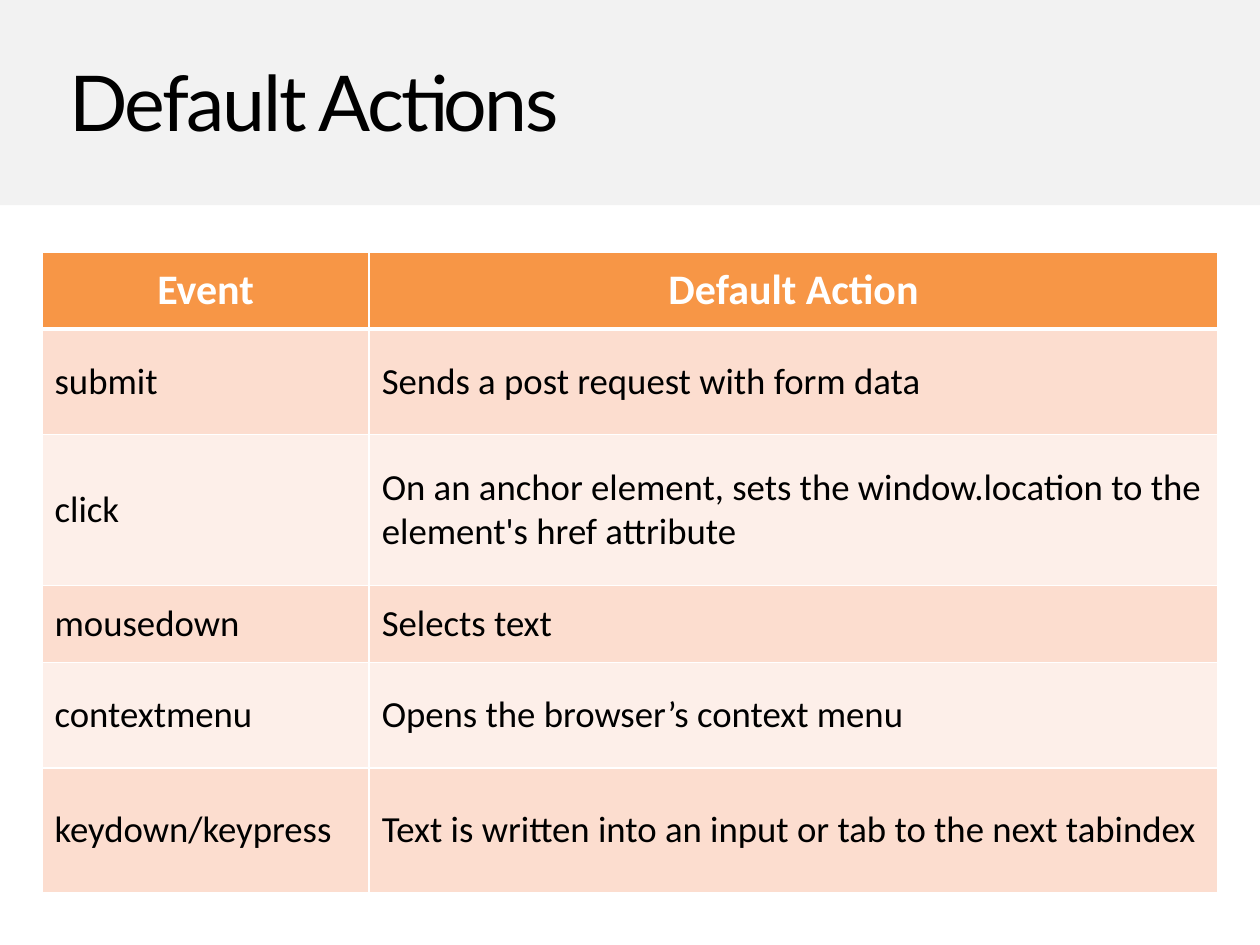
from lxml import etree
from pptx import Presentation
from pptx.dml.color import RGBColor
from pptx.enum.shapes import MSO_SHAPE
from pptx.enum.text import MSO_ANCHOR, PP_ALIGN
from pptx.oxml.ns import qn
from pptx.util import Pt

RECTANGLE = MSO_SHAPE.RECTANGLE
MIDDLE = MSO_ANCHOR.MIDDLE
LEFT, CENTER = PP_ALIGN.LEFT, PP_ALIGN.CENTER

WHITE = RGBColor(0xFF, 0xFF, 0xFF)
BLACK = RGBColor(0x00, 0x00, 0x00)
BAND_GRAY = RGBColor(0xF2, 0xF2, 0xF2)
HEADER_ORANGE = RGBColor(0xF7, 0x96, 0x46)
ROW_FILLS = (RGBColor(0xFC, 0xDD, 0xCF), RGBColor(0xFD, 0xEF, 0xE9))

SLIDE_WIDTH, SLIDE_HEIGHT = 720, 540
COLUMN_SHARES = (187, 485)
ROW_HEIGHTS = (44, 60.2, 86.4, 44, 60.2, 71.2)
THIN, THICK = 1, 3

ROWS = (
    ("Event", "Default Action"),
    ("submit", "Sends a post request with form data"),
    ("click", "On an anchor element, sets the window.location to the element's href attribute"),
    ("mousedown", "Selects text"),
    ("contextmenu", "Opens the browser’s context menu"),
    ("keydown/keypress", "Text is written into an input or tab to the next tabindex"),
)


def write_text(frame, text, *, size, color=BLACK, font="Calibri", bold=False,
               align=LEFT, line_spacing=None, tracking=None):
    paragraph = frame.paragraphs[0]
    paragraph.alignment = align
    if line_spacing:
        paragraph.line_spacing = line_spacing
    run = paragraph.add_run()
    run.text = text
    run.font.name = font
    run.font.size = Pt(size)
    run.font.bold = bold
    run.font.color.rgb = color
    if tracking:
        run._r.get_or_add_rPr().set("spc", str(round(tracking * 100)))


def set_borders(cell, **widths):
    """Add white borders; keys are L, R, T, B in that order."""
    properties = cell._tc.get_or_add_tcPr()
    for side, width in widths.items():
        line = etree.SubElement(properties, qn(f"a:ln{side}"), w=str(Pt(width)))
        fill = etree.SubElement(line, qn("a:solidFill"))
        etree.SubElement(fill, qn("a:srgbClr"), val=str(WHITE))


def add_title_band(slide, left, top, width, height):
    # Gray background
    band = slide.shapes.add_shape(RECTANGLE, Pt(left), Pt(top), Pt(width), Pt(height))
    band.shadow.inherit = False
    band.fill.solid()
    band.fill.fore_color.rgb = BAND_GRAY
    band.line.fill.background()

    # Title
    title = slide.shapes.add_textbox(Pt(left + 33), Pt(top + 27.4), Pt(width - 61), Pt(60))
    frame = title.text_frame
    frame.word_wrap = True
    frame.margin_left = frame.margin_right = Pt(6.5)
    frame.margin_top = frame.margin_bottom = Pt(3)
    write_text(frame, "Default Actions", size=44, font="Lato",
               line_spacing=1.01, tracking=-1.4)


def add_event_table(slide, left, top, width, height):
    table = slide.shapes.add_table(len(ROWS), len(COLUMN_SHARES), Pt(left), Pt(top),
                                   Pt(width), Pt(height)).table
    for column, share in zip(table.columns, COLUMN_SHARES):
        column.width = Pt(width * share / sum(COLUMN_SHARES))
    for row, row_height in zip(table.rows, ROW_HEIGHTS):
        row.height = Pt(height * row_height / sum(ROW_HEIGHTS))

    for row_index, texts in enumerate(ROWS):
        is_header = row_index == 0
        for column_index, text in enumerate(texts):
            cell = table.cell(row_index, column_index)
            cell.vertical_anchor = MIDDLE
            cell.margin_left = cell.margin_right = Pt(7.2)
            cell.margin_top = cell.margin_bottom = Pt(3.6)
            set_borders(cell, L=THIN, R=THIN,
                        T=THICK if row_index == 1 else THIN,
                        B=THICK if is_header else THIN)
            cell.fill.solid()
            if is_header:
                cell.fill.fore_color.rgb = HEADER_ORANGE
                write_text(cell.text_frame, text, size=24, color=WHITE,
                           bold=True, align=CENTER)
            else:
                cell.fill.fore_color.rgb = ROW_FILLS[(row_index - 1) % 2]
                write_text(cell.text_frame, text, size=21)


def main():
    presentation = Presentation()
    presentation.slide_width = Pt(SLIDE_WIDTH)
    presentation.slide_height = Pt(SLIDE_HEIGHT)
    slide = presentation.slides.add_slide(presentation.slide_layouts[6])
    add_title_band(slide, 0, 0, SLIDE_WIDTH, 117.2)
    add_event_table(slide, 24, 144, SLIDE_WIDTH - 2 * 24, sum(ROW_HEIGHTS))
    presentation.save("out.pptx")


if __name__ == "__main__":
    main()
